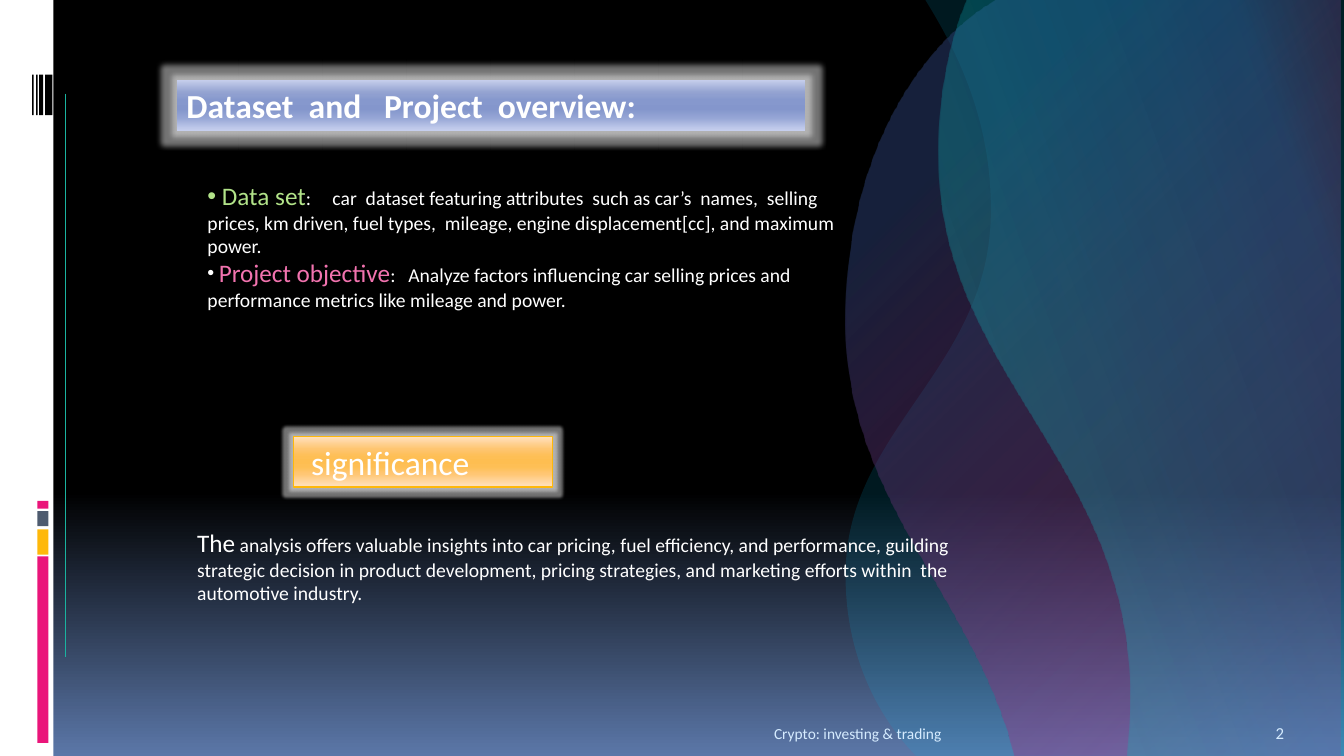
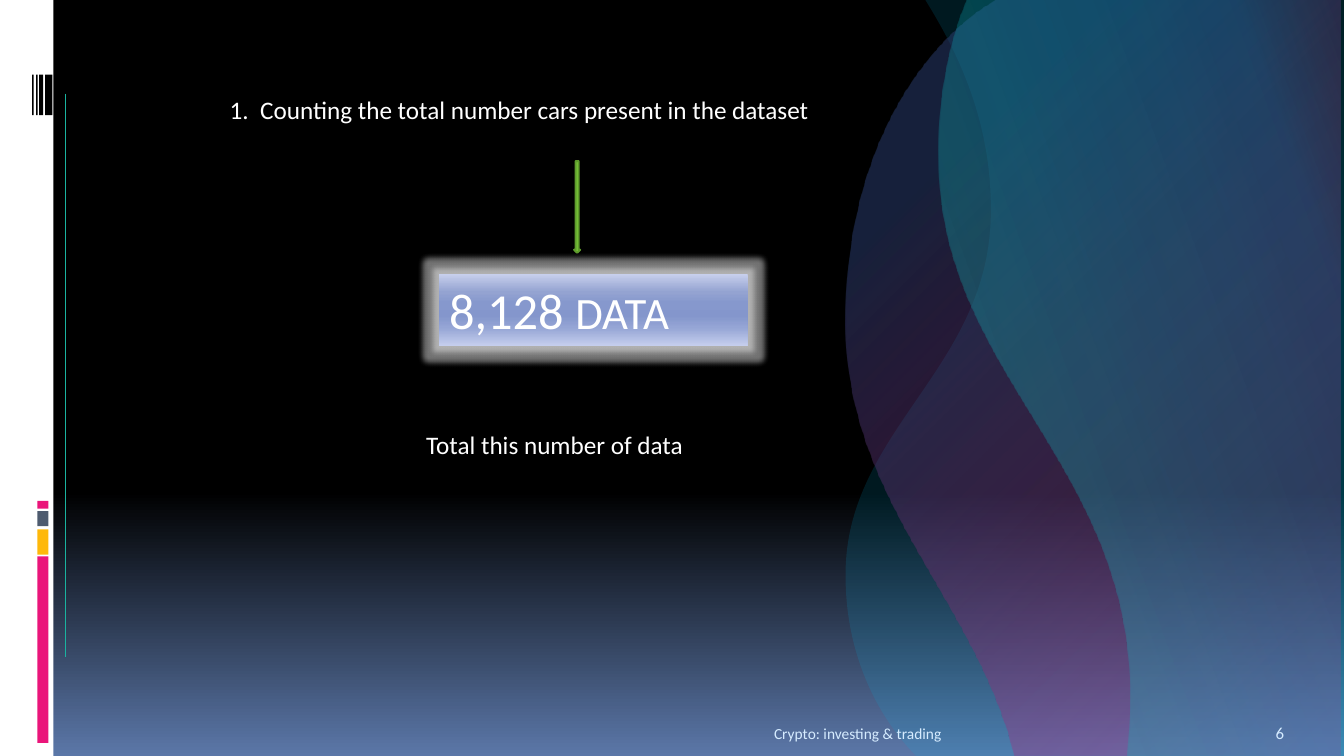
from lxml.etree import SubElement
from pptx import Presentation
from pptx.dml.color import RGBColor
from pptx.enum.shapes import MSO_CONNECTOR as Connector, MSO_SHAPE as Preset
from pptx.enum.text import MSO_ANCHOR as Anchor, PP_ALIGN as Align
from pptx.oxml.ns import qn
from pptx.util import Cm, Pt

FONT = "Calibri"
WHITE, BLACK, PINK, AMBER, SLATE = "FFFFFF", "000000", "EA157A", "FEB80A", "4E5B6F"
TEAL, CYAN, NAVY, PALE = "1AB39F", "00ADDC", "2C3F71", "D6ECFF"
colour = RGBColor.from_string

BLUE_SHEEN = [(0, "C7CFEC", 100), (25, "94A3D1", 100), (40, "8698CD", 100), (50, "8496CC", 100),
              (60, "8698CD", 100), (75, "95A5D5", 100), (100, "C5CEED", 100)]
AMBER_SHEEN = [(0, "FFE1BF", 100), (25, "FEC570", 100), (40, "FEBF55", 100), (50, "FEBE51", 100),
               (60, "FEBF55", 100), (75, "FFC775", 100), (100, "FFE1BF", 100)]
NIGHT = [(0, BLACK, 100), (65, BLACK, 100), (100, "5B77A8", 100)]

MARKS = [(0, 0, 1.35, 19.05, WHITE)]
MARKS += [(0.94, top, 0.28, height, tone) for top, height, tone in
          [(14.02, 4.7, PINK), (13.34, 0.64, AMBER), (12.88, 0.38, SLATE), (12.62, 0.2, PINK)]]
MARKS += [(left, 1.88, width, 1.02, BLACK) for left, width in
          [(1.14, 0.18), (0.99, 0.1), (0.91, 0.04), (0.81, 0.04)]]

WAVES = [
    (23.32, 33.87, 23.09,
     [(23.06, 19.02), (22.1, 18.03), (21.29, 16.46), (21.31, 14.43), (21.34, 10.85),
      (24.89, 9.3), (24.97, 5.46), (25.02, 3.07), (24.13, 1.32), (23.37, 0.08)],
     [(0, CYAN, 14), (100, CYAN, 14)], 0),
    (25.1, 33.78, 25.55,
     [(25.43, 18.57), (24.28, 14.81), (21.34, 12.5), (21.31, 8.18), (21.29, 3.99),
      (23.09, 1.4), (24.71, 0.25)],
     [(4, PINK, 24), (79, NAVY, 52)], None),
    (24.36, 33.87, 28.4,
     [(28.45, 18.31), (28.47, 17.98), (28.47, 17.63), (28.47, 17.3), (28.37, 11.63),
      (23.67, 9.35), (23.65, 4.04), (23.62, 2.69), (23.83, 1.5), (24.18, 0.46)],
     [(1, TEAL, 38), (84, CYAN, 20), (100, TEAL, 3)], 340),
]


def paint(fill, element, stops, angle=90):
    fill.gradient()
    gradient = element.xpath(".//a:gradFill")[0]
    for child in list(gradient):
        gradient.remove(child)
    stop_list = SubElement(gradient, qn("a:gsLst"))
    for position, tone, opacity in stops:
        stop = SubElement(stop_list, qn("a:gs"), pos=str(position * 1000))
        swatch = SubElement(stop, qn("a:srgbClr"), val=tone)
        SubElement(swatch, qn("a:alpha"), val=str(opacity * 1000))
    if angle is None:
        shade = SubElement(gradient, qn("a:path"))
        shade.set("path", "circle")
        SubElement(shade, qn("a:fillToRect"), l="100000", t="100000", r="0", b="0")
    else:
        SubElement(gradient, qn("a:lin"), ang=str(angle * 60000), scaled="0")


def write(box, paragraphs, align=Align.LEFT, anchor=Anchor.TOP):
    frame = box.text_frame
    frame.word_wrap = True
    frame.vertical_anchor = anchor
    for index, spans in enumerate(paragraphs):
        para = frame.add_paragraph() if index else frame.paragraphs[0]
        para.alignment = align
        for text, size, tone in spans:
            span = para.add_run()
            span.text = text
            span.font.name = FONT
            span.font.size = Pt(size)
            span.font.color.rgb = colour(tone)


deck = Presentation()
deck.slide_width, deck.slide_height = Cm(33.87), Cm(19.05)
master = deck.slide_master
paint(master.background.fill, master.element, NIGHT)
overview, count = [deck.slides.add_slide(deck.slide_layouts[6]) for _ in range(2)]

for left, top, width, height, tone in MARKS:
    mark = overview.shapes.add_shape(Preset.RECTANGLE, Cm(left), Cm(top), Cm(width), Cm(height))
    mark.shadow.inherit = False
    mark.fill.solid()
    mark.fill.fore_color.rgb = colour(tone)
    mark.line.fill.background()

rule = overview.shapes.add_connector(Connector.STRAIGHT, Cm(1.65), Cm(2.36), Cm(1.65), Cm(16.56))
rule.line.color.rgb = colour(TEAL)
rule.line.width = Pt(0.94)
SubElement(rule.element.spPr, qn("a:effectLst"))

for top_x, right, bottom_x, edge, stops, angle in WAVES:
    outline = [(right, 0), (right, 19.05), (bottom_x, 19.05)] + edge
    builder = overview.shapes.build_freeform(Cm(top_x), 0)
    builder.add_line_segments([(Cm(x), Cm(y)) for x, y in outline])
    wave = builder.convert_to_shape()
    bends = wave.element.xpath(".//a:lnTo")[4:4 + len(edge) - 1]
    for i in range(0, len(bends), 3):
        curve = bends[i].makeelement(qn("a:cubicBezTo"))
        bends[i].addprevious(curve)
        for bend in bends[i:i + 3]:
            curve.append(bend[0])
            bend.getparent().remove(bend)
    wave.shadow.inherit = False
    wave.line.fill.background()
    paint(wave.fill, wave.element, stops, angle)

for index, shape in enumerate(list(overview.shapes)):
    shape.element.xpath(".//p:cNvPr")[0].set("id", str(100 + index))
    master.shapes.element.append(shape.element)

for page, number in ((overview, "2"), (count, "6")):
    footer = page.shapes.add_textbox(Cm(3.38), Cm(17.83), Cm(20.6), Cm(1.02))
    write(footer, [[("Crypto: investing & trading", 11, PALE)]], Align.RIGHT, Anchor.BOTTOM)
    page_number = page.shapes.add_textbox(Cm(31.9), Cm(17.83), Cm(1.7), Cm(1.02))
    write(page_number, [[(number, 12, PALE)]], anchor=Anchor.BOTTOM)

arrow = count.shapes.add_shape(Preset.DOWN_ARROW, Cm(14.47), Cm(4.06), Cm(0.15), Cm(2.31))
arrow.shadow.inherit = False
arrow.fill.solid()
arrow.fill.fore_color.rgb = colour("7FD13B")
arrow.line.color.rgb = colour("5E9B2C")
arrow.line.width = Pt(1.5)

PLATES = [
    (overview, 4.45, 2.01, 15.85, 1.27, BLUE_SHEEN, 0.26, [("Dataset  and   Project  overview:", 24, WHITE)]),
    (overview, 7.39, 11, 6.53, 1.27, AMBER_SHEEN, 0.16, [("significance", 24, WHITE)]),
    (count, 11.07, 6.91, 7.77, 1.8, BLUE_SHEEN, 0.29, [("8,128 ", 36, WHITE), ("DATA", 32, WHITE)]),
]
for page, left, top, width, height, sheen, halo, spans in PLATES:
    plate = page.shapes.add_shape(Preset.RECTANGLE, Cm(left), Cm(top), Cm(width), Cm(height))
    plate.shadow.inherit = False
    effects = plate.element.spPr.find(qn("a:effectLst"))
    glow = SubElement(effects, qn("a:glow"), rad=str(Cm(halo)))
    tint = SubElement(glow, qn("a:srgbClr"), val=WHITE)
    SubElement(tint, qn("a:alpha"), val="45000")
    paint(plate.fill, plate.element, sheen)
    plate.line.fill.background()
    write(plate, [spans])
    if sheen is BLUE_SHEEN:
        plate.text_frame.paragraphs[0].runs[0].font.bold = page is overview
    else:
        plate.line.color.rgb = colour(AMBER)
        plate.line.width = Pt(0.94)
        plate.text_frame.margin_left = Cm(0.45)

TEXTS = [
    (overview, 4.98, 4.42, 16.81, 5.13, [
        [(" Data set", 18, "B2E389"),
         (":\tcar  dataset featuring attributes  such as car’s  names,  selling  prices, km driven, "
          "fuel types,  mileage, engine displacement[cc], and maximum power.", 14, WHITE)],
        [(" ", 14, WHITE), ("Project objective", 18, "F273AF"),
         (":\tAnalyze factors influencing car selling prices and performance metrics like "
          "mileage and power.", 14, WHITE)]]),
    (overview, 4.72, 13.16, 20.09, 2.24, [
        [("The", 18, WHITE),
         (" analysis offers valuable insights into car pricing, fuel efficiency, and performance, "
          "guilding strategic decision in product development, pricing strategies, and marketing "
          "efforts within  the automotive industry.", 14, WHITE)]]),
    (count, 5.54, 2.24, 22.1, 1.02,
     [[("1.  Counting the total number cars present in the dataset", 18, WHITE)]]),
    (count, 10.49, 10.69, 14.48, 1.02, [[("Total this number of data", 18, WHITE)]]),
]
for page, left, top, width, height, paragraphs in TEXTS:
    box = page.shapes.add_textbox(Cm(left), Cm(top), Cm(width), Cm(height))
    write(box, paragraphs)
    if len(paragraphs) > 1:
        for para in box.text_frame.paragraphs:
            properties = para._p.get_or_add_pPr()
            SubElement(properties, qn("a:buFont"), typeface="Arial")
            SubElement(properties, qn("a:buChar"), char="•")
            tabs = SubElement(properties, qn("a:tabLst"))
            for stop in (3.15, 5.06):
                SubElement(tabs, qn("a:tab"), pos=str(Cm(stop)), algn="l")

deck.save("out.pptx")
